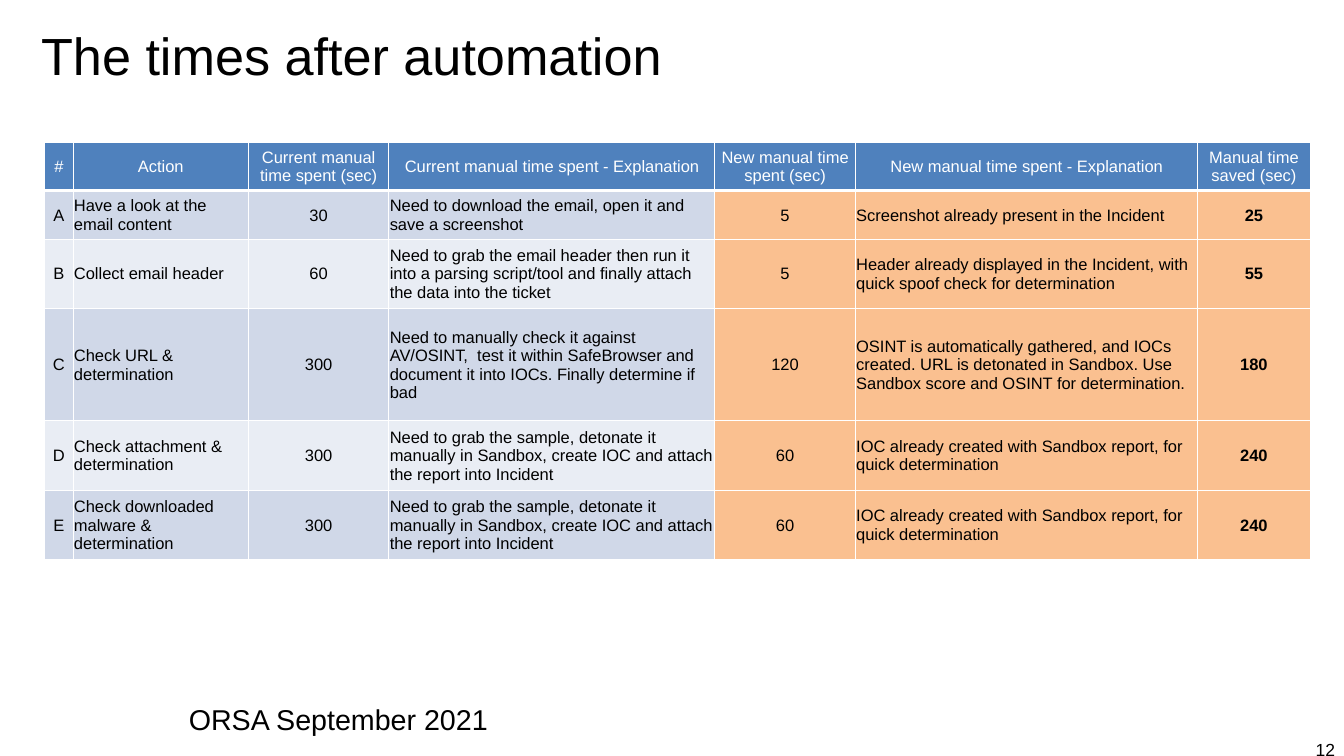
from lxml.etree import SubElement
from pptx import Presentation
from pptx.dml.color import RGBColor
from pptx.enum.text import MSO_ANCHOR as Anchor, MSO_AUTO_SIZE as AutoSize, PP_ALIGN as Align
from pptx.oxml.ns import qn
from pptx.util import Inches, Pt

WIDTH, HEIGHT = Inches(14.72), Inches(8.28)
FONT = "Arial"
BLACK = RGBColor(0x00, 0x00, 0x00)
WHITE = RGBColor(0xFF, 0xFF, 0xFF)
HEADER_BLUE = RGBColor(0x4F, 0x81, 0xBD)
BANDS = RGBColor(0xD0, 0xD8, 0xE8), RGBColor(0xE9, 0xED, 0xF4)
NEW_ORANGE = RGBColor(0xFA, 0xC0, 0x90)

# Column widths and row heights in percent of the slide
COLUMNS = [2.11, 13.04, 10.46, 24.25, 10.46, 25.48, 8.36]
ROWS = [6.4, 6.4, 9.18, 14.86, 9.18, 9.18]
TEXT_COLUMNS = {1, 3, 5}
FIRST_NEW_COLUMN = 4
SAVED_COLUMN = 6

CELL_FRAME = {"vertical_anchor": Anchor.MIDDLE, "margin_left": Inches(0.01),
              "margin_top": Inches(0.01), "margin_right": Inches(0.01), "margin_bottom": 0}
TITLE_FRAME = {"vertical_anchor": Anchor.MIDDLE, "auto_size": AutoSize.NONE, "word_wrap": True,
               "margin_left": 0, "margin_top": 0, "margin_right": 0, "margin_bottom": 0}
FOOTER_FRAME = {"word_wrap": True, "auto_size": AutoSize.NONE}
NUMBER_FRAME = {"word_wrap": True, "margin_left": Inches(0.12), "margin_top": Inches(0.06),
                "margin_right": Inches(0.12), "margin_bottom": Inches(0.06)}

SAMPLE_WORK = ("Need to grab the sample, detonate it manually in Sandbox, "
               "create IOC and attach the report into Incident")
SAMPLE_REPORT = "IOC already created with Sandbox report, for quick determination"
TIMES = [
    ["#", "Action", "Current manual time spent (sec)", "Current manual time spent - Explanation",
     "New manual time spent (sec)", "New manual time spent - Explanation",
     "Manual time saved (sec)"],
    ["A", "Have a look at the email content", "30",
     "Need to download the email, open it and save a screenshot",
     "5", "Screenshot already present in the Incident", "25"],
    ["B", "Collect email header", "60",
     "Need to grab the email header then run it into a parsing script/tool "
     "and finally attach the data into the ticket",
     "5", "Header already displayed in the Incident, with quick spoof check for determination",
     "55"],
    ["C", "Check URL & determination", "300",
     "Need to manually check it against AV/OSINT,  test it within SafeBrowser "
     "and document it into IOCs. Finally determine if bad",
     "120", "OSINT is automatically gathered, and IOCs created. URL is detonated in Sandbox. "
     "Use Sandbox score and OSINT for determination.", "180"],
    ["D", "Check attachment & determination", "300", SAMPLE_WORK, "60", SAMPLE_REPORT, "240"],
    ["E", "Check downloaded malware & determination", "300", SAMPLE_WORK, "60", SAMPLE_REPORT,
     "240"],
]


def across(percent):
    return round(WIDTH * percent / 100)


def down(percent):
    return round(HEIGHT * percent / 100)


def box(left, top, width, height):
    """Turn percentages of the slide into a position and a size."""
    return across(left), down(top), across(width), down(height)


def apply(target, values):
    for name, value in values.items():
        setattr(target, name, value)


def write(text_frame, text, size, color=BLACK, bold=False, **paragraph_format):
    paragraph = text_frame.paragraphs[0]
    paragraph.text = text
    apply(paragraph, paragraph_format)
    apply(paragraph.font, {"name": FONT, "size": Pt(size), "bold": bold})
    paragraph.font.color.rgb = color


def add_title(slide, text):
    title = slide.shapes.title
    apply(title, dict(zip(("left", "top", "width", "height"), box(3.06, 1.93, 77.45, 11.71))))
    apply(title.text_frame, TITLE_FRAME)
    write(title.text_frame, text, 41.2, alignment=Align.LEFT, line_spacing=0.9)


def add_label(slide, area, text, size, frame):
    label = slide.shapes.add_textbox(*area)
    apply(label.text_frame, frame)
    write(label.text_frame, text, size)


def add_borders(cell, bottom):
    """Draw white cell borders; they must precede the fill in the XML."""
    properties = cell._tc.get_or_add_tcPr()
    for side, points in {"L": 1, "R": 1, "T": 1, "B": bottom}.items():
        line = SubElement(properties, qn(f"a:ln{side}"), w=str(Pt(points)))
        fill = SubElement(line, qn("a:solidFill"))
        SubElement(fill, qn("a:srgbClr"), val=str(WHITE))


def cell_fill(row, column):
    if row == 0:
        return HEADER_BLUE
    return NEW_ORANGE if column >= FIRST_NEW_COLUMN else BANDS[(row - 1) % 2]


def format_cell(cell, row, column, text):
    header = row == 0
    apply(cell, CELL_FRAME)
    add_borders(cell, bottom=3 if header else 1)
    cell.fill.solid()
    cell.fill.fore_color.rgb = cell_fill(row, column)
    left = column in TEXT_COLUMNS and not header
    write(cell.text_frame, text, 13, WHITE if header else BLACK,
          bold=column == SAVED_COLUMN and not header,
          alignment=Align.LEFT if left else Align.CENTER)


def add_times_table(slide):
    area = box(3.33, 18.84, sum(COLUMNS), sum(ROWS))
    table = slide.shapes.add_table(len(ROWS), len(COLUMNS), *area).table
    for column, width in zip(table.columns, COLUMNS):
        column.width = across(width)
    for row, height in zip(table.rows, ROWS):
        row.height = down(height)
    for row, texts in enumerate(TIMES):
        for column, text in enumerate(texts):
            format_cell(table.cell(row, column), row, column, text)


def main():
    presentation = Presentation()
    apply(presentation, {"slide_width": WIDTH, "slide_height": HEIGHT})
    title_only = presentation.slide_layouts[5]
    slide = presentation.slides.add_slide(title_only)
    add_label(slide, box(97.08, 96.98, 4.01, 3.38), "12", 13.8, NUMBER_FRAME)
    add_label(slide, box(13.38, 92.27, 26, 5.8), "ORSA September 2021", 22.6, FOOTER_FRAME)
    add_title(slide, "The times after automation")
    add_times_table(slide)
    presentation.save("out.pptx")


if __name__ == "__main__":
    main()
